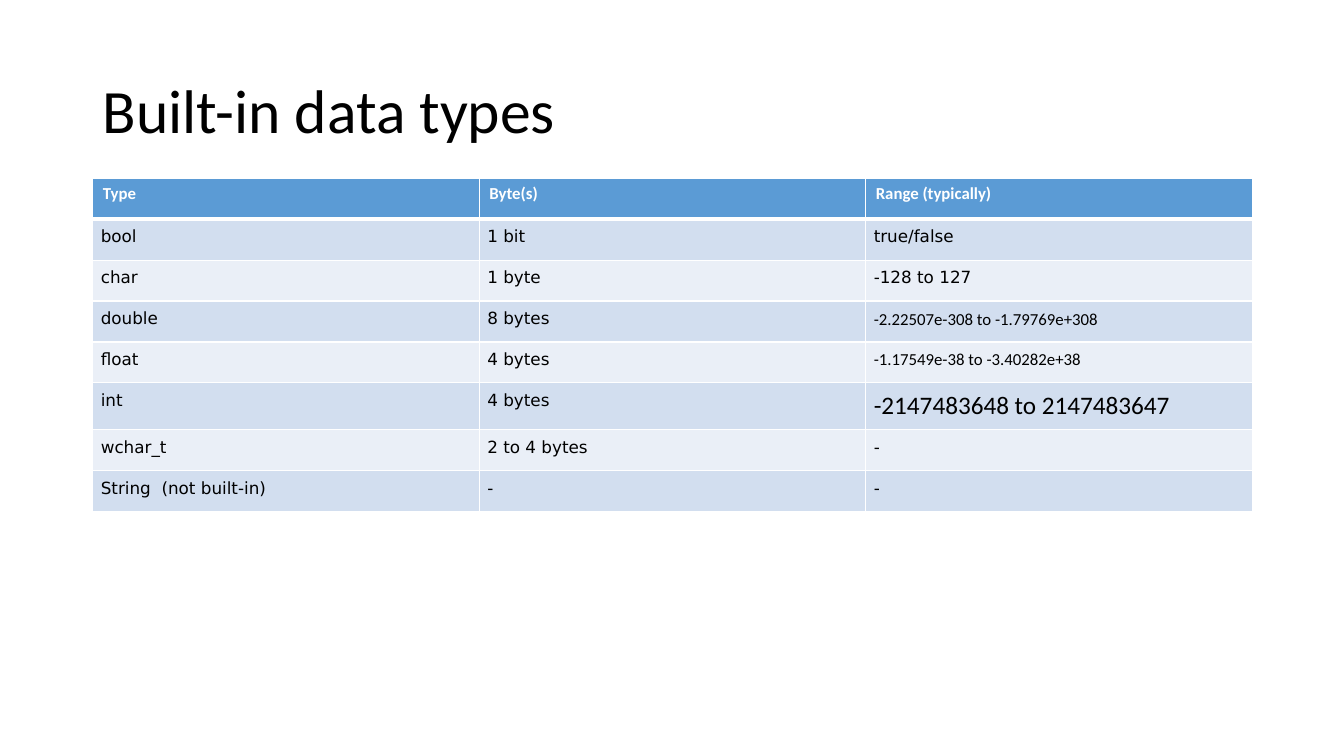
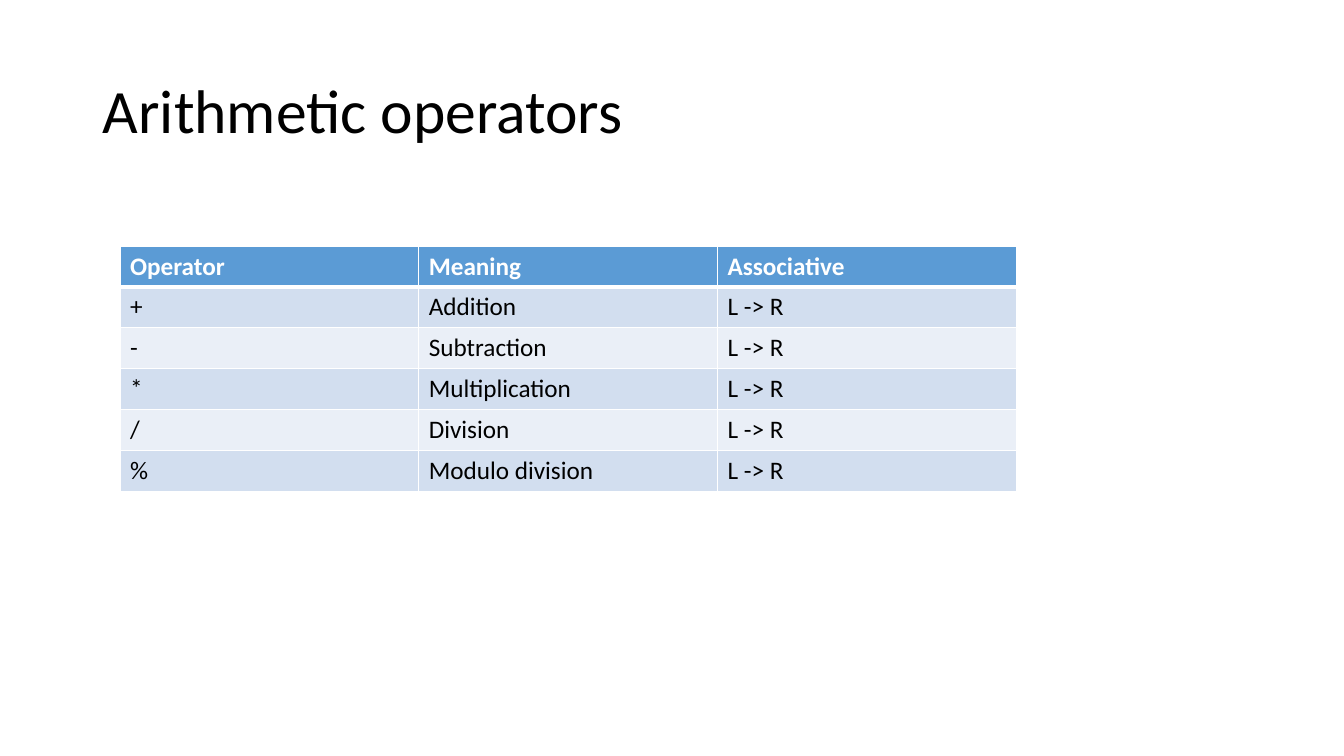
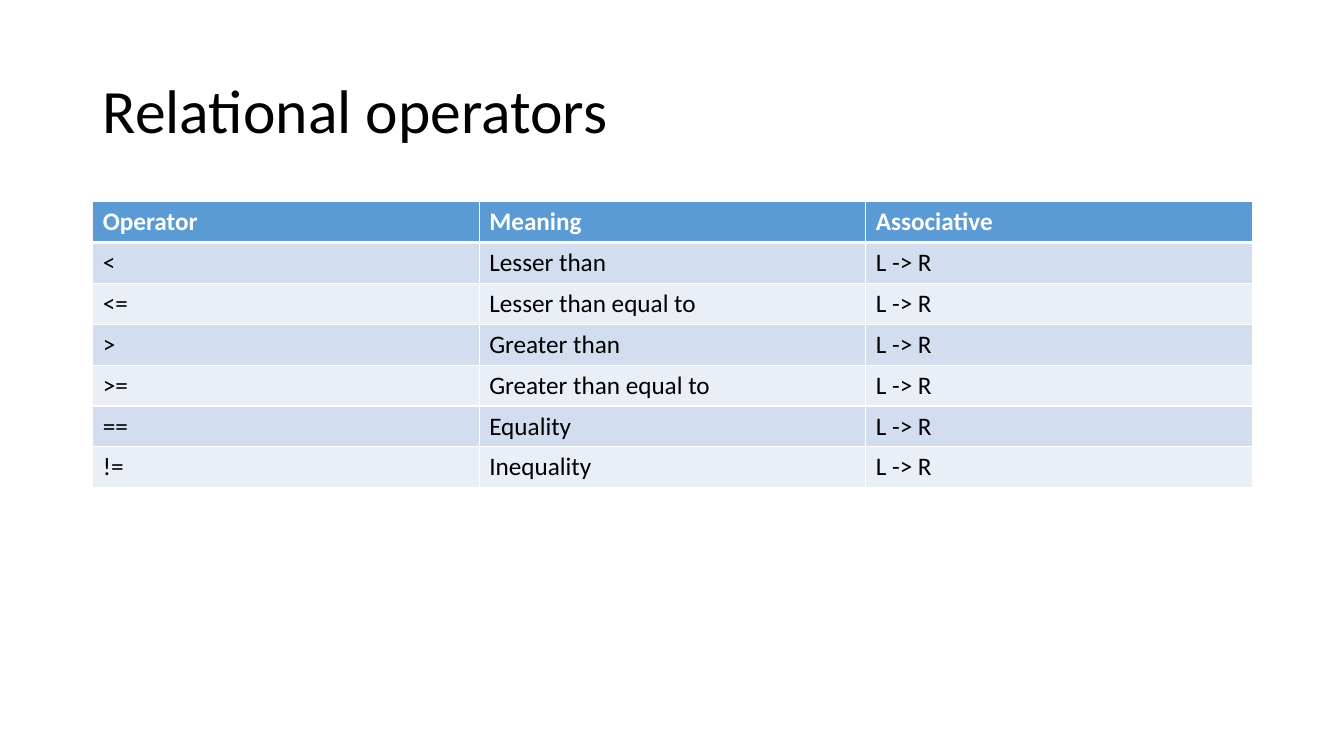
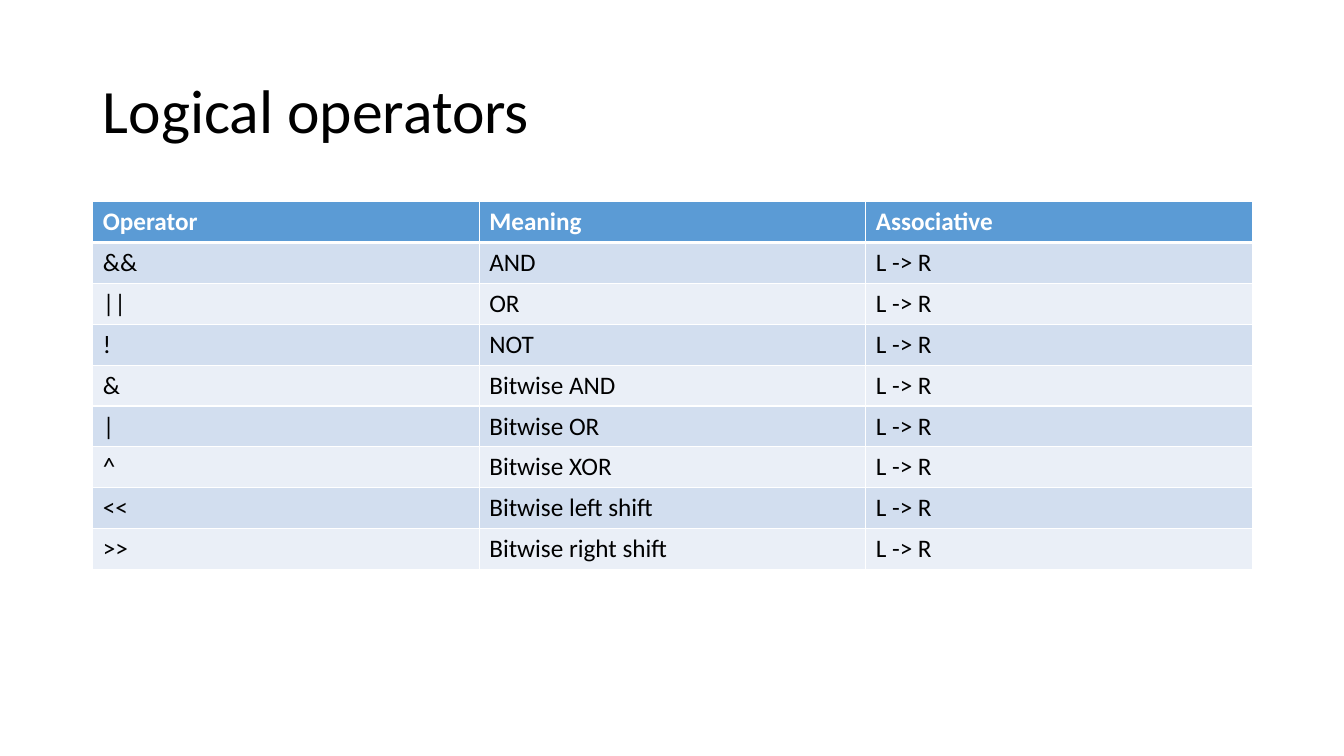
from pptx import Presentation
from pptx.dml.color import RGBColor
from pptx.enum.text import MSO_ANCHOR as Anchor, MSO_AUTO_SIZE as AutoSize, PP_ALIGN as Align
from pptx.oxml.ns import qn
from pptx.util import Inches, Pt
from lxml.etree import SubElement

# Content
ORDER = "L -> R"
OPERATOR_HEADER = ("Operator", "Meaning", "Associative")

DATA_TYPES = [
    ("Type", "Byte(s)", "Range (typically)"),
    ("bool", "1 bit", "true/false"),
    ("char", "1 byte", "-128 to 127"),
    ("double", "8 bytes", "-2.22507e-308 to -1.79769e+308"),
    ("float", "4 bytes", "-1.17549e-38 to -3.40282e+38"),
    ("int", "4 bytes", "-2147483648 to 2147483647"),
    ("wchar_t", "2 to 4 bytes", "-"),
    ("String  (not built-in)", "-", "-"),
]
ARITHMETIC = [
    ("+", "Addition"),
    ("-", "Subtraction"),
    ("*", "Multiplication"),
    ("/", "Division"),
    ("%", "Modulo division"),
]
RELATIONAL = [
    ("<", "Lesser than"),
    ("<=", "Lesser than equal to"),
    (">", "Greater than"),
    (">=", "Greater than equal to"),
    ("==", "Equality"),
    ("!=", "Inequality"),
]
LOGICAL = [
    ("&&", "AND"),
    ("||", "OR"),
    ("!", "NOT"),
    ("&", "Bitwise AND"),
    ("|", "Bitwise OR"),
    ("^", "Bitwise XOR"),
    ("<<", "Bitwise left shift"),
    (">>", "Bitwise right shift"),
]

# Shared style
WHITE, BLACK = "FFFFFF", "000000"
HEADER_FILL = "5B9BD5"
BAND_FILLS = ("D2DEEF", "EAEFF7")
MAIN_FONT, TYPE_FONT = "Calibri", "DejaVu Sans"
LEFT, WIDTH = 0.92, 11.5
ROW_HEIGHT = Inches(3.65) // 9
TYPE_MARGIN = Inches(0.08)

# Formats of the range cells that differ from the rest of the data types table
RANGE_FORMATS = {
    "double": {"font": MAIN_FONT},
    "float": {"font": MAIN_FONT},
    "int": {"font": MAIN_FONT, "size": 18},
}


def color(value):
    """Return the colour for a hex string."""
    return RGBColor.from_string(value)


def write(frame, text, size=18, font=MAIN_FONT, ink=BLACK, bold=False, spacing=None):
    """Put one left-aligned, formatted paragraph into a text frame."""
    para = frame.paragraphs[0]
    para.alignment = Align.LEFT
    para.line_spacing = spacing
    span = para.add_run()
    span.text = text
    span.font.size = Pt(size)
    span.font.name = font
    span.font.bold = bold
    span.font.color.rgb = color(ink)


def add_page(deck, title):
    """Add a slide with the shared title style."""
    page = deck.slides.add_slide(deck.slide_layouts[5])
    box = page.shapes.title
    box.left, box.top = Inches(LEFT), Inches(0.4)
    box.width, box.height = Inches(WIDTH), Inches(1.45)
    frame = box.text_frame
    frame.auto_size = AutoSize.NONE
    frame.vertical_anchor = Anchor.MIDDLE
    write(frame, title, size=44, spacing=0.9)
    return page


def draw_borders(cell, top, bottom):
    """Give a cell white borders; top and bottom widths are in points."""
    properties = cell._tc.get_or_add_tcPr()
    for side, points in (("L", 1), ("R", 1), ("T", top), ("B", bottom)):
        line = SubElement(properties, qn(f"a:ln{side}"), w=str(Pt(points)))
        fill = SubElement(line, qn("a:solidFill"))
        SubElement(fill, qn("a:srgbClr"), val=WHITE)


def add_grid(page, rows, left, top, width):
    """Add a banded table with equal columns and return its table."""
    columns = len(rows[0])
    table = page.shapes.add_table(
        len(rows), columns, Inches(left), Inches(top), Inches(width), ROW_HEIGHT * len(rows)
    ).table
    for row_number, row in enumerate(table.rows):
        row.height = ROW_HEIGHT
        for cell in row.cells:
            draw_borders(cell, 3 if row_number == 1 else 1, 3 if row_number == 0 else 1)
            cell.fill.solid()
            fill = BAND_FILLS[(row_number - 1) % 2] if row_number else HEADER_FILL
            cell.fill.fore_color.rgb = color(fill)
    return table


def add_type_page(deck):
    """Add the slide on data types, with its smaller text and own margins."""
    page = add_page(deck, "Built-in data types")
    table = add_grid(page, DATA_TYPES, LEFT, 1.77, WIDTH)
    for row_number, texts in enumerate(DATA_TYPES):
        for column, text in enumerate(texts):
            cell = table.cell(row_number, column)
            if row_number == 0:
                write(cell.text_frame, text, size=12, ink=WHITE, bold=True)
                continue
            cell.margin_left = cell.margin_right = TYPE_MARGIN
            cell.margin_top = cell.margin_bottom = TYPE_MARGIN
            style = {"size": 12, "font": TYPE_FONT}
            if column == 2:
                style.update(RANGE_FORMATS.get(texts[0], {}))
            write(cell.text_frame, text, **style)


def add_operator_page(deck, title, operators, left=LEFT, top=2, width=WIDTH):
    """Add a slide with a table of operators."""
    page = add_page(deck, title)
    rows = [OPERATOR_HEADER] + [(*operator, ORDER) for operator in operators]
    table = add_grid(page, rows, left, top, width)
    for row_number, texts in enumerate(rows):
        header = row_number == 0
        for column, text in enumerate(texts):
            frame = table.cell(row_number, column).text_frame
            write(frame, text, ink=WHITE if header else BLACK, bold=header)


deck = Presentation()
deck.slide_width, deck.slide_height = Inches(13.33), Inches(7.5)
add_type_page(deck)
add_operator_page(deck, "Arithmetic operators", ARITHMETIC, left=1.19, top=2.44, width=8.89)
add_operator_page(deck, "Relational operators", RELATIONAL)
add_operator_page(deck, "Logical operators", LOGICAL)
deck.save("out.pptx")
